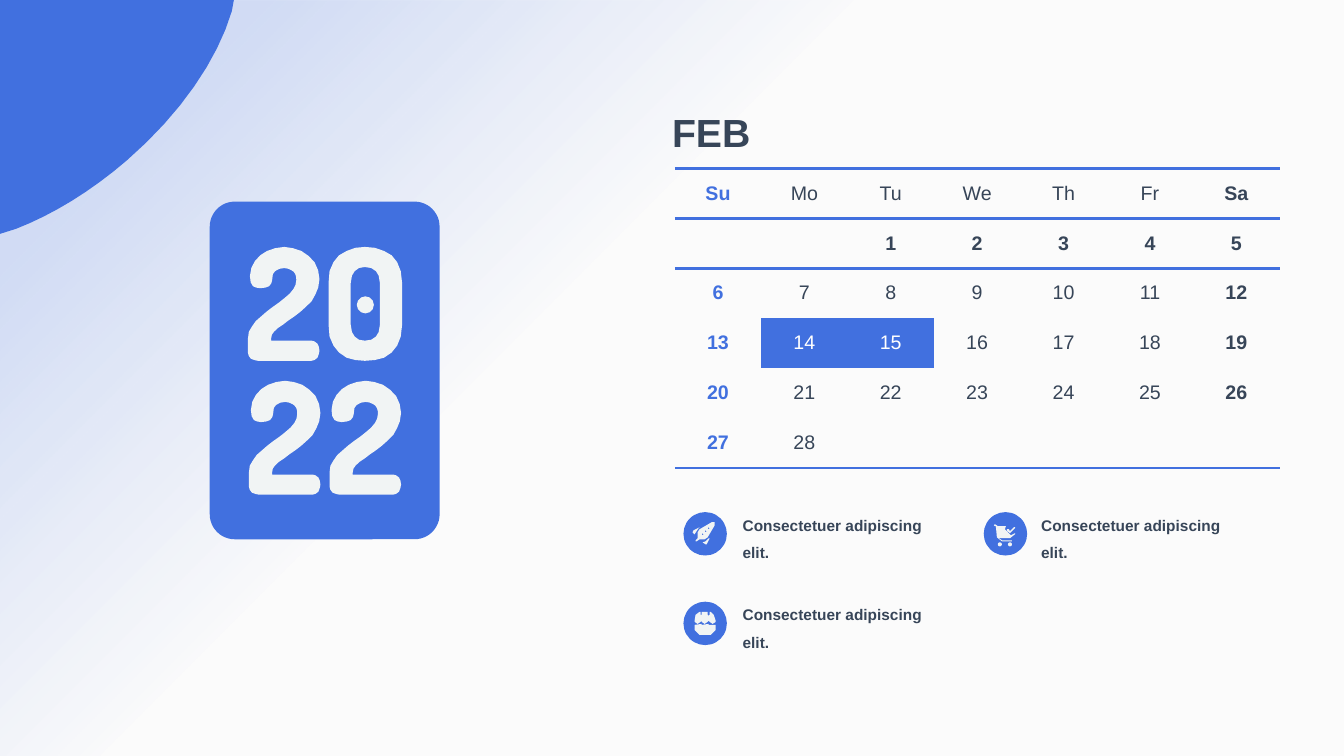
from lxml import etree
from pptx import Presentation
from pptx.dml.color import RGBColor
from pptx.enum.shapes import MSO_SHAPE
from pptx.enum.text import MSO_ANCHOR, MSO_AUTO_SIZE, PP_ALIGN
from pptx.oxml.ns import qn
from pptx.util import Pt

RECTANGLE, ROUNDED, OVAL = MSO_SHAPE.RECTANGLE, MSO_SHAPE.ROUNDED_RECTANGLE, MSO_SHAPE.OVAL
MIDDLE, CENTER, LEFT = MSO_ANCHOR.MIDDLE, PP_ALIGN.CENTER, PP_ALIGN.LEFT
GROW = MSO_AUTO_SIZE.SHAPE_TO_FIT_TEXT

BLUE = RGBColor(0x41, 0x70, 0xDF)
SLATE = RGBColor(0x37, 0x45, 0x58)
PAPER = RGBColor(0xFB, 0xFB, 0xFB)
MIST = RGBColor(0xF1, 0xF4, 0xF4)
WHITE = RGBColor(0xFF, 0xFF, 0xFF)

PLAIN_TABLE = "{2D5ABB26-0587-4C30-8999-92F81FD0307C}"
UNIT = 0.72

CORNER = "M0,232 L0,0 L232,0 L230,11 C216,59,179,113,126,159 C90,190,52,213,16,227 Z"
TWO = (
    "M36,0 C42,0,47,2,53,4 C58,7,62,10,66,15 C69,20,71,26,71,32 C71,38,69,43,67,47 "
    "C65,52,62,56,58,59 C54,63,50,66,46,69 C42,72,38,74,35,77 C31,79,28,82,26,84 "
    "C24,86,23,88,23,91 L23,93 L63,93 C65,93,67,94,69,96 C70,98,71,100,71,103 "
    "C71,105,70,107,69,110 C67,112,65,113,63,113 L10,113 C8,113,6,112,3,111 "
    "C1,109,0,107,0,105 L0,91 C0,86,1,82,4,79 C6,75,9,72,13,69 C16,66,20,63,24,60 "
    "C29,57,32,54,36,51 C40,48,43,45,45,42 C47,39,48,36,48,33 C48,31,48,29,47,27 "
    "C46,25,45,24,43,23 C41,22,39,21,36,21 C32,21,30,22,27,24 C25,25,24,28,24,33 "
    "C24,35,23,37,21,39 C19,40,16,41,12,41 C9,41,7,40,5,39 C3,37,2,34,2,29 "
    "C2,23,4,18,7,14 C10,10,14,6,19,4 C24,2,30,0,36,0 Z"
)
ZERO = (
    "M36,0 C43,0,49,1,55,4 C61,6,65,10,68,15 C71,20,73,27,73,36 L73,77 "
    "C73,86,71,93,68,98 C65,103,61,107,55,110 C49,112,43,113,36,113 "
    "C30,113,23,112,18,110 C12,107,8,103,5,98 C1,93,0,86,0,77 L0,36 "
    "C0,27,1,20,5,15 C8,10,12,6,18,4 C23,1,30,0,36,0 Z "
    "M36,20 C32,20,28,21,26,24 C24,26,22,30,22,36 L22,77 C22,83,24,87,26,89 "
    "C28,92,32,93,36,93 C41,93,44,92,47,89 C49,87,51,83,51,77 L51,36 "
    "C51,30,49,26,47,24 C44,21,41,20,36,20 Z"
)
ROCKET = (
    "M31,10 L28,10 C24,11,20,14,16,17 C16,18,15,19,14,20 C13,22,13,24,14,26 L12,28 "
    "L12,29 L13,29 L16,27 C17,29,19,28,21,27 L24,25 C27,21,30,17,31,13 Z "
    "M19,23 L18,22 L19,21 L20,22 Z M22,20 L21,19 L22,18 L23,19 Z "
    "M25,17 L24,16 L25,15 L26,16 Z "
    "M11,22 L9,20 L10,18 C11,17,13,16,16,15 L15,16 L13,19 Z "
    "M19,30 L22,29 L25,26 L26,26 C26,28,25,30,23,32 L22,32 Z"
)
CAKE_BASE = (
    "M25,22 C23,25,21,25,18,23 L18,22 C16,25,13,25,11,23 L11,28 C11,31,13,33,16,33 "
    "L27,33 C30,33,32,31,32,28 L32,23 C30,25,27,25,25,23 Z"
)
CAKE_TOP = (
    "M30,13 C30,11,28,10,27,10 L26,10 L26,13 L25,14 L24,13 L24,10 L18,10 L18,13 "
    "L17,13 L17,10 L16,10 C14,10,13,11,12,13 L11,19 L11,20 C11,21,12,22,14,22 "
    "C15,22,17,21,17,20 L18,19 L18,20 C18,21,20,22,21,22 C23,22,24,21,24,20 "
    "L25,19 L26,20 C26,21,27,22,29,22 C30,22,32,21,32,20 L32,19 Z"
)
CART = (
    "M27,23 C24,23,21,20,21,17 C21,16,21,15,22,14 L14,14 C14,13,12,12,11,12 "
    "L10,13 L11,14 L12,14 L13,25 C13,28,15,29,18,29 L28,29 L28,28 L18,28 "
    "C17,28,16,27,15,26 L26,26 C29,26,31,24,31,22 L31,21 C30,22,28,23,27,23 Z"
)
CHECK = "M25,20 L26,21 L27,20 L31,16 L31,15 L30,15 L26,19 L25,17 L23,17 L23,19 Z"

DAYS = ["Su", "Mo", "Tu", "We", "Th", "Fr", "Sa"]
FIRST_COLUMN, LAST_DAY, WEEKS = 2, 28, 5
MARKED_DAYS = {"14", "15"}


def write(frame, text, size=14, color=SLATE, bold=False, align=LEFT, spacing=None):
    para = frame.paragraphs[0]
    para.alignment = align
    para.line_spacing = spacing
    span = para.add_run()
    span.text = text
    span.font.name, span.font.size = "Arial", Pt(size)
    span.font.color.rgb, span.font.bold = color, bold


def trace(path, steps):
    contours = []
    for command in path.replace("Z", "").split():
        numbers = [float(number) * UNIT for number in command[1:].split(",")]
        points = list(zip(numbers[::2], numbers[1::2]))
        if command[0] == "M":
            contours.append(points)
        elif command[0] == "L":
            contours[-1].extend(points)
        else:
            corners = [contours[-1][-1], *points]
            for step in range(1, steps + 1):
                t = step / steps
                weights = ((1 - t) ** 3, 3 * t * (1 - t) ** 2, 3 * t * t * (1 - t), t ** 3)
                contours[-1].append(tuple(
                    sum(weight * corner[axis] for weight, corner in zip(weights, corners))
                    for axis in (0, 1)))
    return [[(Pt(x), Pt(y)) for x, y in contour] for contour in contours]


class Page:
    def __init__(self, deck):
        self.page = deck.slides.add_slide(deck.slide_layouts[6])
        self.page.background.fill.solid()
        self.page.background.fill.fore_color.rgb = PAPER
        self.shapes = self.page.shapes

    def finish(self, shape, color):
        shape.shadow.inherit = False
        shape.fill.solid()
        shape.fill.fore_color.rgb = color
        shape.line.fill.background()
        return shape

    def block(self, kind, left, top, width, height, color=BLUE, group=None):
        target = group.shapes if group else self.shapes
        shape = target.add_shape(kind, Pt(left), Pt(top), Pt(width), Pt(height))
        return self.finish(shape, color)

    def outline(self, path, left, top, color=MIST, group=None, steps=1):
        target = group.shapes if group else self.shapes
        contours = trace(path, steps)
        builder = target.build_freeform(*contours[0][0])
        for index, contour in enumerate(contours):
            if index:
                builder.move_to(*contour[0])
            builder.add_line_segments(contour[1:], close=True)
        return self.finish(builder.convert_to_shape(Pt(left), Pt(top)), color)

    def wash(self, width, height):
        shape = self.block(RECTANGLE, 0, 0, width, height)
        shape.fill.gradient()
        shape.fill.gradient_angle = 315
        for stop, position in zip(shape.fill.gradient_stops, (0.13, 0.41)):
            stop.position = position
            stop.color.rgb = BLUE
        tints = shape._element.xpath(".//a:gs/a:srgbClr")
        for tint, opacity in zip(tints, (22, 0)):
            etree.SubElement(tint, qn("a:alpha")).set("val", str(opacity * 1000))

    def label(self, text, left, top, width, height, **style):
        box = self.shapes.add_textbox(Pt(left), Pt(top), Pt(width), Pt(height))
        frame = box.text_frame
        frame.word_wrap, frame.auto_size, frame.vertical_anchor = True, GROW, MIDDLE
        write(frame, text, **style)

    def rule(self, cell, side):
        border = etree.SubElement(cell._tc.get_or_add_tcPr(), qn("a:" + side), w=str(Pt(2.25)))
        fill = etree.SubElement(border, qn("a:solidFill"))
        etree.SubElement(fill, qn("a:srgbClr"), val=str(BLUE))

    def calendar(self, rows, left, top, width, height):
        frame = self.shapes.add_table(
            len(rows), len(DAYS), Pt(left), Pt(top), Pt(width), Pt(height))
        table = frame.table
        table.first_row = table.horz_banding = False
        table._tbl.xpath(".//a:tableStyleId")[0].text = PLAIN_TABLE
        for row, texts in enumerate(rows):
            for column, text in enumerate(texts):
                cell = table.cell(row, column)
                cell.vertical_anchor = MIDDLE
                if row < 2:
                    self.rule(cell, "lnT")
                if row in (0, len(rows) - 1):
                    self.rule(cell, "lnB")
                marked = text in MARKED_DAYS
                if marked:
                    cell.fill.solid()
                    cell.fill.fore_color.rgb = BLUE
                else:
                    cell.fill.background()
                if text:
                    color = WHITE if marked else BLUE if column == 0 else SLATE
                    bold = column in (0, 6) or row == 1
                    write(cell.text_frame, text, color=color, bold=bold, align=CENTER)


def main():
    deck = Presentation()
    deck.slide_width, deck.slide_height = Pt(960), Pt(540)
    page = Page(deck)
    page.wash(960, 540)
    page.outline(CORNER, 0, 0, BLUE, steps=8)

    dates = [column - FIRST_COLUMN + 1 for column in range(WEEKS * 7)]
    names = [str(date) if 1 <= date <= LAST_DAY else "" for date in dates]
    weeks = [names[start:start + 7] for start in range(0, len(names), 7)]
    page.calendar([DAYS, *weeks], 482, 120.2, 432, 214.2)
    page.label("FEB", 473, 73.4, 224.6, 41, size=28, bold=True)

    card = page.block(ROUNDED, 149.8, 144, 164.2, 241.2)
    card.adjustments[0] = 0.109
    year = page.shapes.add_group_shape()
    for digit, left, top in ((TWO, 177.1, 176.4), (ZERO, 234.7, 176.4),
                             (TWO, 177.8, 272), (TWO, 235.4, 272)):
        page.outline(digit, left, top, group=year, steps=2)
    page.block(OVAL, 254.9, 211.7, 12.2, 12.2, MIST, year)

    notes = ((488.2, 365.8, 523.4, [ROCKET], []),
             (488.2, 429.8, 523.4, [CAKE_BASE, CAKE_TOP], []),
             (702.7, 365.8, 736.6, [CART, CHECK], [14, 24]))
    for left, top, text_left, paths, wheels in notes:
        page.block(OVAL, left, top, 31, 31)
        page.label("Consectetuer adipiscing elit.", text_left, top + 2.9, 163.4, 25.9,
                   size=11, bold=True, spacing=1.5)
        icon = page.shapes.add_group_shape()
        for path in paths:
            page.outline(path, left, top, group=icon)
        for wheel in wheels:
            page.block(OVAL, left + wheel * UNIT, top + 30 * UNIT, 2.9, 2.9, MIST, icon)

    deck.save("out.pptx")


if __name__ == "__main__":
    main()
